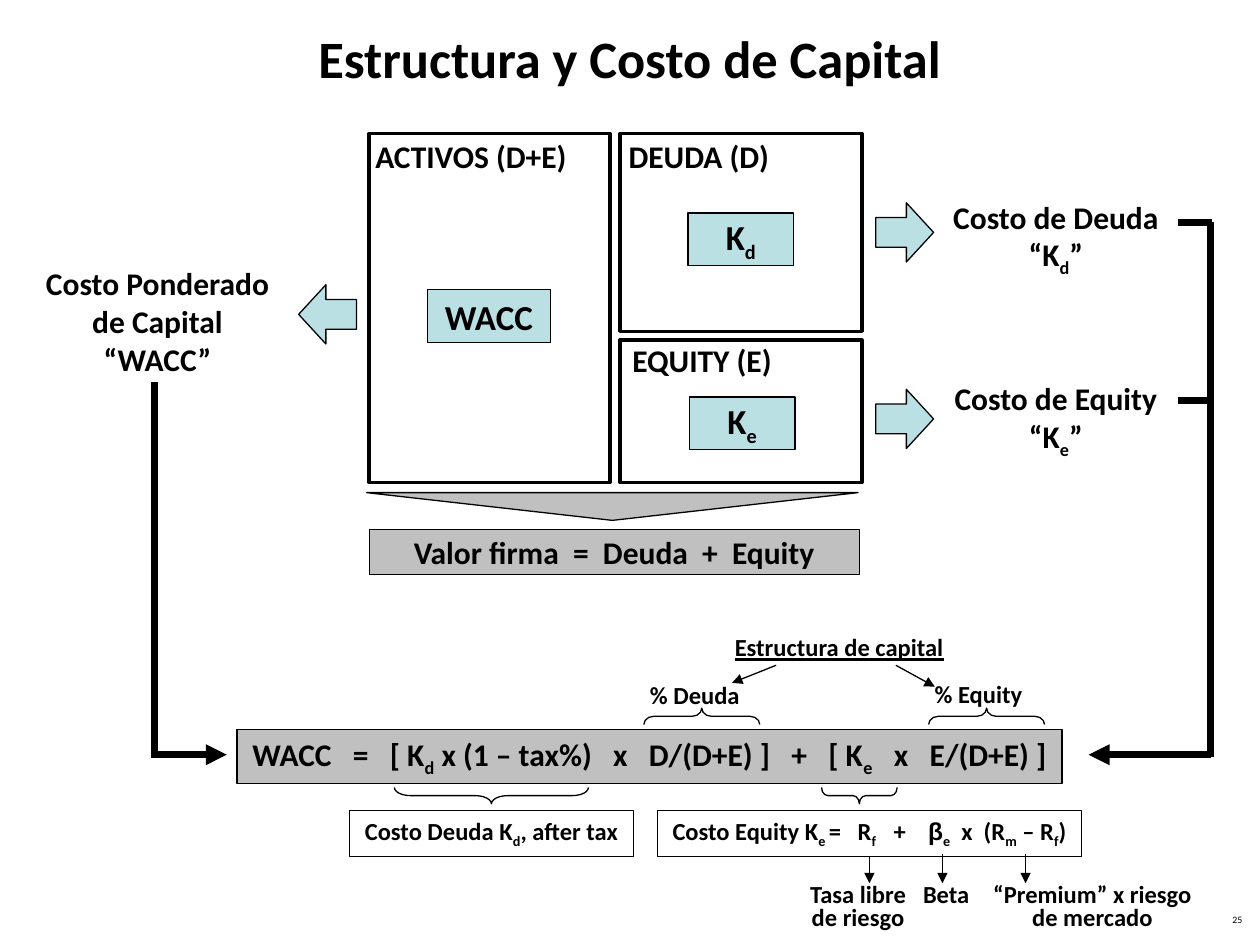
from dataclasses import dataclass
from typing import Optional

from lxml import etree
from pptx import Presentation
from pptx.dml.color import RGBColor
from pptx.enum.shapes import MSO_CONNECTOR, MSO_SHAPE
from pptx.enum.text import MSO_ANCHOR, MSO_AUTO_SIZE, PP_ALIGN
from pptx.oxml.ns import qn
from pptx.util import Inches, Pt

RECTANGLE, TRIANGLE = MSO_SHAPE.RECTANGLE, MSO_SHAPE.ISOSCELES_TRIANGLE
RIGHT_ARROW, RIGHT_BRACE = MSO_SHAPE.RIGHT_ARROW, MSO_SHAPE.RIGHT_BRACE
STRAIGHT = MSO_CONNECTOR.STRAIGHT
LEFT, CENTER, RIGHT = PP_ALIGN.LEFT, PP_ALIGN.CENTER, PP_ALIGN.RIGHT
TOP, MIDDLE = MSO_ANCHOR.TOP, MSO_ANCHOR.MIDDLE
GROW, FIXED = MSO_AUTO_SIZE.SHAPE_TO_FIT_TEXT, MSO_AUTO_SIZE.NONE

COLORS = {"black": "000000", "white": "FFFFFF", "gray": "C0C0C0", "aqua": "BBE0E3"}
BOTTOM_SITE = 2


@dataclass(frozen=True)
class Fragment:
    text: str
    subscript: bool = False
    font: str = "Calibri"


@dataclass(frozen=True)
class Caption:
    fragments: tuple[Fragment, ...]
    size: float
    align: PP_ALIGN = CENTER
    anchor: MSO_ANCHOR = TOP
    wrap: bool = True
    grow: bool = True
    spacing: float = 1.0
    bold: bool = True
    underline: bool = False


@dataclass(frozen=True)
class Figure:
    left: float
    top: float
    width: float
    height: float
    kind: MSO_SHAPE = RECTANGLE
    fill: Optional[str] = None
    line_width: float = 0.75
    rotation: float = 0
    adjustments: tuple[float, ...] = ()
    caption: Optional[Caption] = None


@dataclass(frozen=True)
class Label:
    left: float
    top: float
    width: float
    height: float
    caption: Caption


@dataclass(frozen=True)
class Line:
    start: tuple[float, float]
    end: tuple[float, float]
    width: float = 0.75
    arrow: bool = False


def color(name: str) -> RGBColor:
    return RGBColor.from_string(COLORS[name])


def plain(text: str) -> tuple[Fragment, ...]:
    return (Fragment(text),)


def indexed(*texts: str) -> tuple[Fragment, ...]:
    return tuple(Fragment(text, index % 2 == 1) for index, text in enumerate(texts))


def write_caption(shape, caption: Caption) -> None:
    frame = shape.text_frame
    frame.word_wrap = caption.wrap
    frame.auto_size = GROW if caption.grow else FIXED
    frame.vertical_anchor = caption.anchor
    paragraph = frame.paragraphs[0]
    paragraph.alignment = caption.align
    paragraph.line_spacing = caption.spacing
    for fragment in caption.fragments:
        run = paragraph.add_run()
        run.text = fragment.text
        run.font.name = fragment.font
        run.font.size = Pt(caption.size)
        run.font.bold = caption.bold
        run.font.underline = caption.underline
        run.font.color.rgb = color("black")
        if fragment.subscript:
            run._r.get_or_add_rPr().set("baseline", "-25000")


def draw_figure(slide, figure: Figure):
    shape = slide.shapes.add_shape(
        figure.kind, Inches(figure.left), Inches(figure.top),
        Inches(figure.width), Inches(figure.height))
    shape.shadow.inherit = False
    shape.rotation = figure.rotation
    for index, value in enumerate(figure.adjustments):
        shape.adjustments[index] = value
    if figure.fill:
        shape.fill.solid()
        shape.fill.fore_color.rgb = color(figure.fill)
    else:
        shape.fill.background()
    shape.line.color.rgb = color("black")
    shape.line.width = Pt(figure.line_width)
    if figure.caption:
        write_caption(shape, figure.caption)
    return shape


def draw_label(slide, label: Label) -> None:
    box = slide.shapes.add_textbox(
        Inches(label.left), Inches(label.top), Inches(label.width), Inches(label.height))
    write_caption(box, label.caption)


def draw_line(slide, line: Line):
    connector = slide.shapes.add_connector(
        STRAIGHT, *(Inches(value) for value in line.start + line.end))
    connector.line.color.rgb = color("black")
    connector.line.width = Pt(line.width)
    if line.arrow:
        etree.SubElement(connector.line._get_or_add_ln(), qn("a:tailEnd"), type="triangle")
    etree.SubElement(connector._element.spPr, qn("a:effectLst"))
    return connector


def panel(left: float, top: float, width: float, height: float) -> Figure:
    return Figure(left, top, width, height, fill="white", line_width=2)


def bar(left: float, top: float, width: float, height: float, fill: str,
        size: float, *texts: str) -> Figure:
    caption = Caption(indexed(*texts), size, anchor=MIDDLE, wrap=False, grow=False)
    return Figure(left, top, width, height, fill=fill, caption=caption)


def brace(left: float, top: float, length: float, rotation: float) -> Figure:
    depth = 0.13
    return Figure(left + (length - depth) / 2, top - (length - depth) / 2, depth, length,
                  RIGHT_BRACE, rotation=rotation, adjustments=(length / 12 / depth, 0.5))


def block_arrow(left: float, top: float, rotation: float = 0) -> Figure:
    return Figure(left, top, 0.46, 0.47, RIGHT_ARROW, "aqua", rotation=rotation,
                  adjustments=(0.5, 0.47))


def heading(left: float, top: float, width: float, text: str) -> Label:
    return Label(left, top, width, 0.4, Caption(plain(text), 18, LEFT, wrap=False))


def cost(left: float, top: float, height: float, *texts: str) -> Label:
    return Label(left, top, 2.02, height, Caption(indexed(*texts), 18))


def share(left: float, top: float, width: float, text: str) -> Label:
    return Label(left, top, width, 0.34, Caption(plain(text), 14, LEFT))


def factor(left: float, width: float, height: float, text: str) -> Label:
    return Label(left, 6.97, width, height, Caption(plain(text), 14, spacing=0.8))


EQUITY_FORMULA = (
    *indexed("Costo Equity K", "e ", "=   R", "f  ", "  +    "),
    Fragment("β", font="Arial"), Fragment("e", True),
    *indexed("  x  (R", "m", " – R", "f", ")"))

FIGURES = (
    panel(2.93, 1.06, 1.91, 2.77), panel(4.92, 1.06, 1.92, 1.57), panel(4.92, 2.7, 1.92, 1.13),
    bar(3.39, 2.3, 0.98, 0.42, "aqua", 20, "WACC"),
    bar(5.46, 1.69, 0.84, 0.42, "aqua", 20, "K", "d"),
    bar(5.47, 3.15, 0.84, 0.42, "aqua", 20, "K", "e"),
    bar(1.88, 5.79, 6.55, 0.43, "gray", 18, "WACC   =   [ K", "d",
        " x (1 – tax%)   x   D/(D+E) ]   +   [ K", "e", "   x   E/(D+E) ]"),
    brace(3.13, 6.25, 1.54, 90), brace(6.52, 6.25, 0.6, 90),
    brace(5.11, 5.62, 0.92, 270), brace(7.37, 5.62, 0.92, 270),
    bar(2.93, 4.2, 3.89, 0.36, "gray", 18, "Valor firma  =  Deuda  +  Equity"),
    Figure(2.91, 3.91, 3.9, 0.22, TRIANGLE, "gray", rotation=180),
    block_arrow(6.95, 1.61), block_arrow(6.95, 3.09), block_arrow(2.37, 2.26, 180),
    Figure(2.77, 6.43, 2.26, 0.37, line_width=0.25,
           caption=Caption(indexed("Costo Deuda K", "d", ", after tax"), 14)),
)
EQUITY_BOX = Figure(5.22, 6.43, 3.36, 0.37, line_width=0.25, caption=Caption(EQUITY_FORMULA, 14))

LABELS = (
    Label(7.63, 7.22, 2.33, 0.21,
          Caption(plain("25"), 5.6, RIGHT, grow=False, spacing=0.8, bold=False)),
    Label(0, 0, 10, 0.91,
          Caption(plain("Estructura y Costo de Capital"), 30, anchor=MIDDLE, grow=False)),
    heading(4.89, 1.04, 1.32, "DEUDA (D)"),
    heading(4.92, 2.66, 1.31, "EQUITY (E)"),
    heading(2.88, 1.04, 1.72, "ACTIVOS (D+E)"),
    share(5.06, 5.35, 1.04, "% Deuda"), share(7.32, 5.34, 0.9, "% Equity"),
    Label(5.65, 4.97, 2.02, 0.34, Caption(plain("Estructura de capital"), 14, underline=True)),
    cost(7.37, 1.52, 0.74, "Costo de Deuda “K", "d", "”"),
    cost(7.37, 2.96, 0.74, "Costo de Equity “K", "e", "”"),
    cost(0.24, 2.05, 1, "Costo Ponderado de Capital “WACC”"),
    factor(6.29, 1.04, 0.48, "Tasa libre de riesgo"),
    factor(7.21, 0.6, 0.29, "Beta"),
    factor(7.76, 1.82, 0.48, "“Premium” x riesgo de mercado"),
)

LINES = (
    Line((6.16, 5.28), (5.81, 5.42), arrow=True), Line((7.11, 5.28), (7.42, 5.45), arrow=True),
    *(Line((x, 6.78), (x, 7.01), arrow=True) for x in (7.48, 8.14)),
    Line((1.2, 5.99), (1.8, 5.99), 4, True), Line((1.23, 6), (1.23, 3.03), 4),
    Line((9.61, 6.01), (9.61, 1.76), 4), Line((9.61, 5.99), (8.64, 5.99), 4, True),
    *(Line((9.35, y), (9.62, y), 4) for y in (1.77, 3.18)),
)


def main() -> None:
    presentation = Presentation()
    presentation.slide_width, presentation.slide_height = Inches(10), Inches(7.5)
    slide = presentation.slides.add_slide(presentation.slide_layouts[6])
    for figure in FIGURES:
        draw_figure(slide, figure)
    equity_box = draw_figure(slide, EQUITY_BOX)
    for label in LABELS:
        draw_label(slide, label)
    for line in LINES:
        draw_line(slide, line)
    rate_arrow = draw_line(slide, Line((6.9, 6.8), (6.9, 7.01), arrow=True))
    rate_arrow.begin_connect(equity_box, BOTTOM_SITE)
    presentation.save("out.pptx")


if __name__ == "__main__":
    main()
